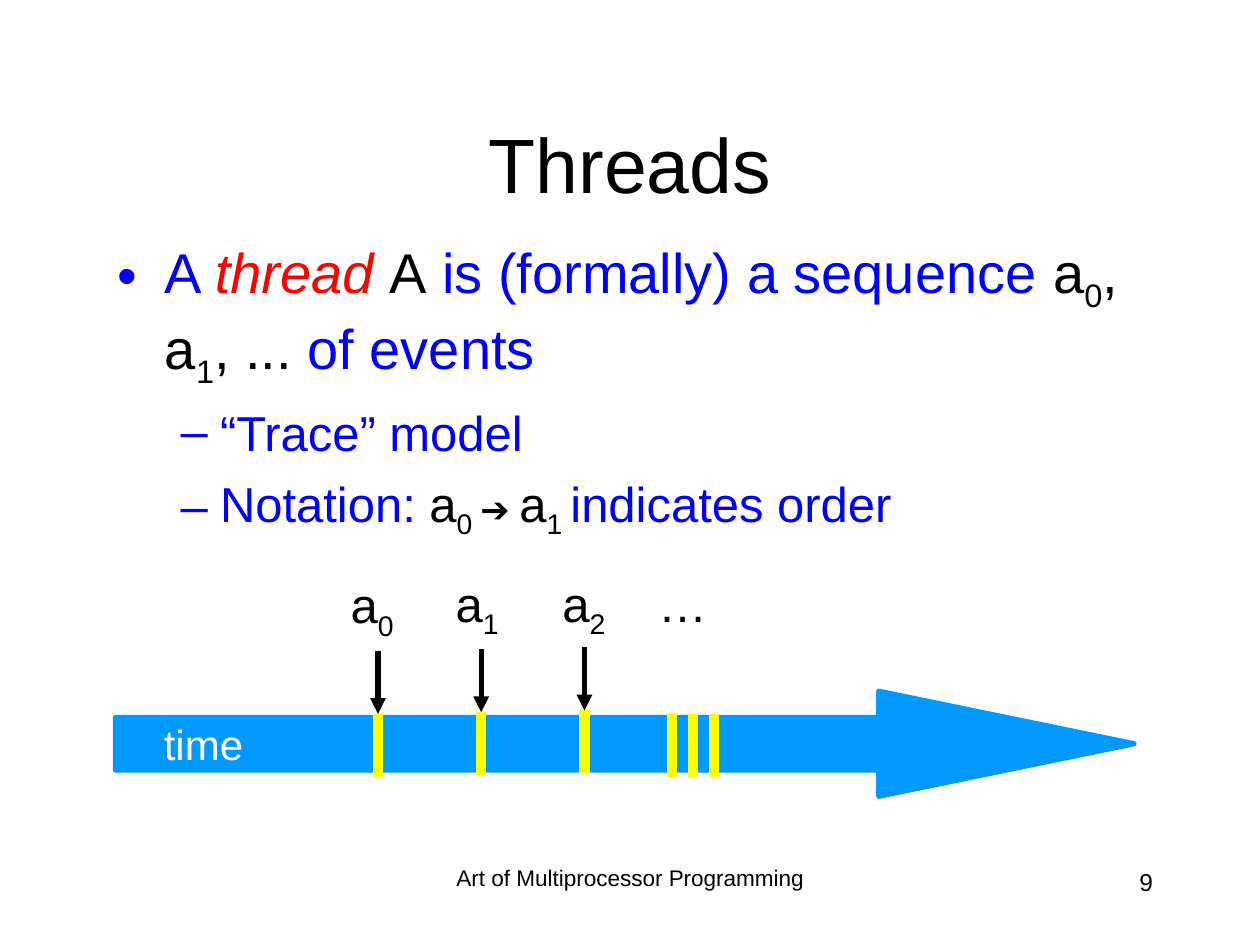
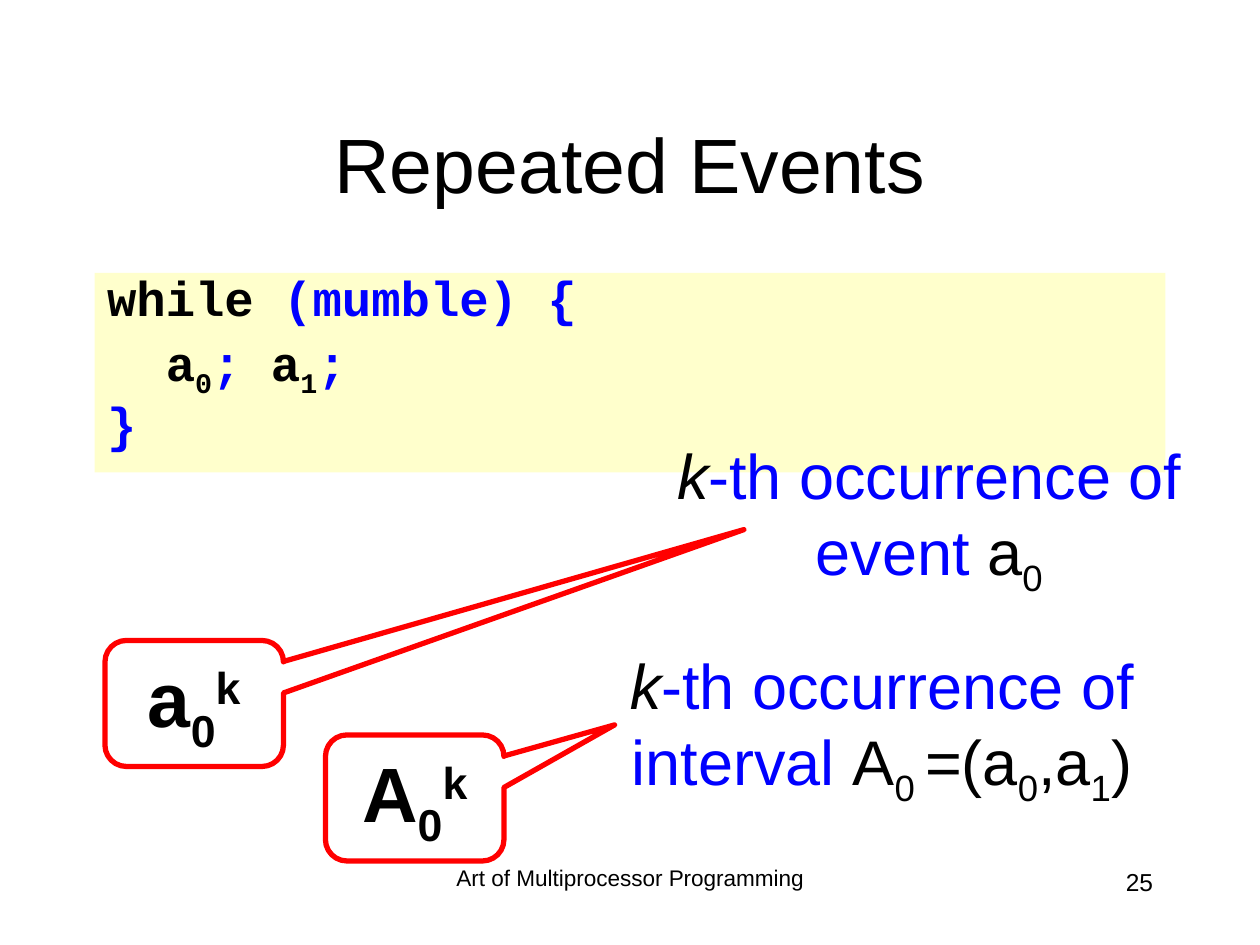
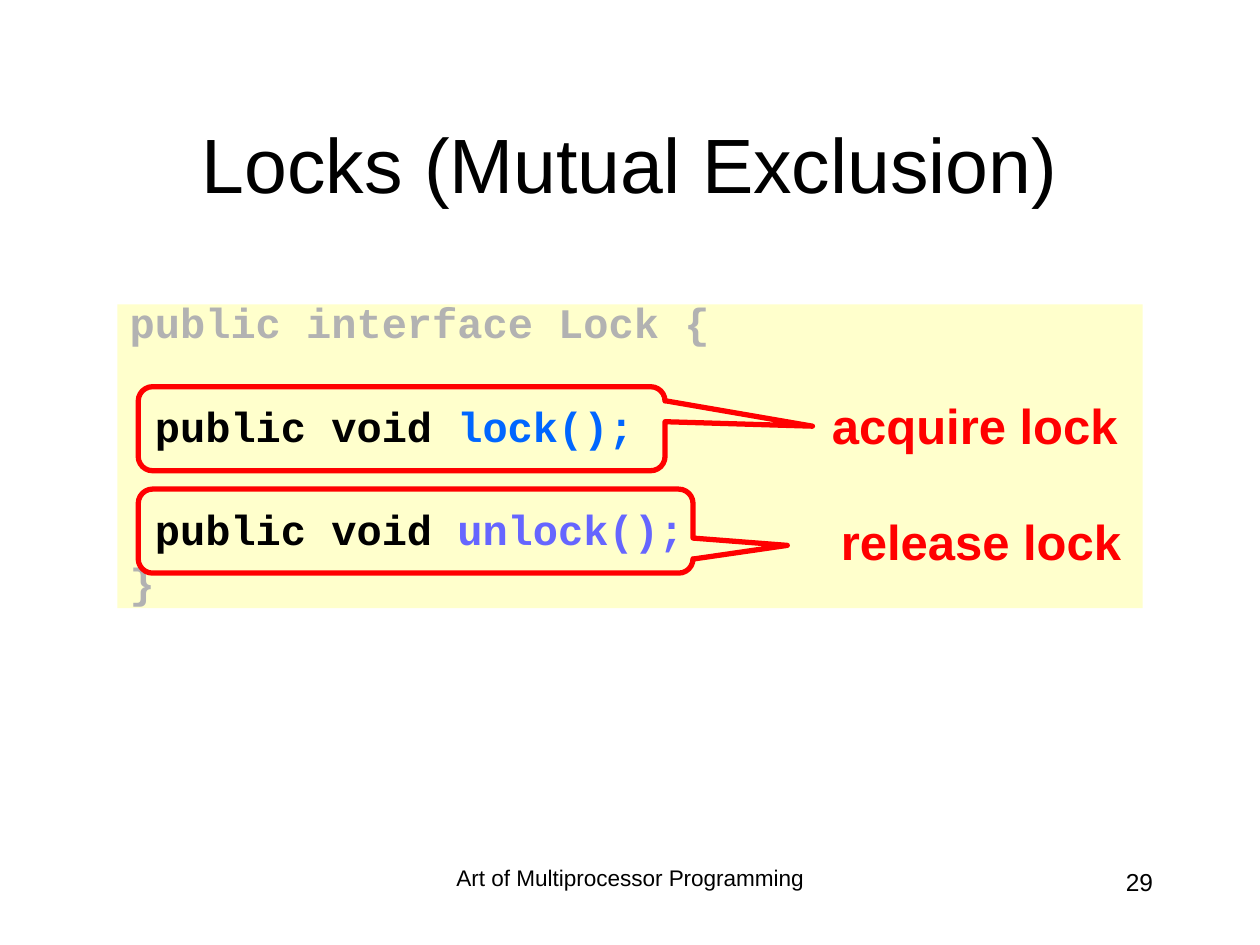
from dataclasses import dataclass, field

from lxml import etree
from pptx import Presentation
from pptx.dml.color import RGBColor
from pptx.enum import shapes, text
from pptx.oxml import ns
from pptx.util import Pt


@dataclass
class Theme:
    sans: str = "Arial"
    mono: str = "Courier New"
    colours: dict = field(default_factory=lambda: {
        "black": "000000", "white": "FFFFFF", "blue": "0000FF", "red": "FF0000",
        "yellow": "FFFF00", "sky": "0099FF", "cream": "FFFFCC", "grey": "B2B2B2",
        "azure": "0066FF", "violet": "6666FF"})
    sizes: dict = field(default_factory=lambda: {
        "title": 44, "statement": 36, "list": 32, "sublist": 28, "label": 28,
        "code": 24, "symbol": 20, "number": 14, "footer": 12.9})
    baselines: dict = field(default_factory=lambda: {"sub": "-25000", "sup": "30000"})

    def rgb(self, colour):
        return RGBColor.from_string(self.colours[colour])


THEME = Theme()
ALIGN = text.PP_ALIGN
SHAPE = shapes.MSO_SHAPE

FOOTER = "Art of Multiprocessor Programming"
FOOTER_BOX = (246, 492, 228, 36)
NUMBER_BOX = (516, 492, 150, 36)
TITLE_BOX = (54, 48, 612, 90)

THREAD_BOX = (60, 132, 612, 258)
THREAD_POINTS = [
    ("list", [("A ", "blue"), ("thread ", "red italic"), ("A", "black"),
              (" is (formally) a sequence ", "blue"), ("a", "black"), ("0", "black sub"),
              (", a", "black"), ("1", "black sub"), (", ... ", "black"),
              ("of events", "blue")]),
    ("sublist", [("“Trace” model", "blue")]),
    ("sublist", [("Notation: ", "blue"), ("a", "black"), ("0 ", "black sub"),
                 ("➔ ", "black symbol"), ("a", "black"), ("1 ", "black sub"),
                 ("indicates order", "blue")]),
]
BULLETS = {
    "list": dict(char="•", level=0, margin=27, hang=27, before=8),
    "sublist": dict(char="–", level=1, margin=58.5, hang=22.5, before=7),
}
TIME_ARROW = (66, 395, 582, 60)
TIME_BOX = (86, 407, 60, 36)
EVENTS = [("0", 193, 325), ("1", 253, 324), ("2", 314, 324)]
EVENT_START, EVENT_STEP, EVENT_TOP, EVENT_LENGTH = 216, 59, 372, 36
LATER_EVENTS = [384, 396, 408]
LATER_TOP = 408
ELLIPSIS_BOX = (369, 324, 42, 41)

LOOP_BOX = (54, 156, 612, 114)
LOOP_CODE = [
    [("while", "black bold"), (" (mumble) {", "blue bold")],
    [("  a", "black bold"), ("0", "black bold sub"), ("; ", "blue bold"),
     ("a", "black bold"), ("1", "black bold sub"), (";", "blue bold")],
    [("}", "blue bold")],
]
OCCURRENCES = [
    ("a", (60, 366, 102, 72), (3.08, -1.38), (366, 246, 330, 100),
     [("k", "black italic"), ("-th occurrence of event ", "blue"), ("a", "black"),
      ("0", "black sub")]),
    ("A", (186, 420, 102, 72), (1.12, -0.58), (324, 366, 360, 100),
     [("k", "black italic"), ("-th occurrence of interval ", "blue"), ("A", "black"),
      ("0 ", "black sub"), ("=(a", "black"), ("0", "black sub"), (",a", "black"),
      ("1", "black sub"), (")", "black")]),
]

LOCK_BOX = (67, 174, 586, 173.5)
LOCK_CODE = [
    (0, [("public interface Lock {", "grey bold")]),
    (39, [(" public void ", "black bold"), ("lock();", "azure bold")]),
    (39, [(" public void ", "black bold"), ("unlock();", "violet bold")]),
    (10, [("}", "grey bold")]),
]
LOCK_NOTES = [
    ("release lock", (79, 279.5, 317, 48), (0.67, 0.17), (467, 289, 187, 41)),
    ("acquire lock", (79, 221, 301, 48), (0.78, -0.03), (461, 222.5, 192, 41)),
]


def points(box):
    return [Pt(length) for length in box]


def place(part, box):
    for name, length in zip(("left", "top", "width", "height"), points(box)):
        setattr(part, name, length)


def write(paragraph, runs, size, face=THEME.sans, **layout):
    for name, value in layout.items():
        setattr(paragraph, name, value)
    for words, style in runs:
        colour, *flags = style.split()
        run = paragraph.add_run()
        run.text = words
        points_high = THEME.sizes["symbol" if "symbol" in flags else size]
        look = dict(name=face, size=Pt(points_high),
                    bold="bold" in flags, italic="italic" in flags)
        for name, value in look.items():
            setattr(run.font, name, value)
        run.font.color.rgb = THEME.rgb(colour)
        for flag in flags:
            if flag in THEME.baselines:
                run.font._element.set("baseline", THEME.baselines[flag])


def next_paragraph(frame, index):
    return frame.add_paragraph() if index else frame.paragraphs[0]


def add_text(slide, box, runs, size, wrap=True, **layout):
    frame = slide.shapes.add_textbox(*points(box)).text_frame
    frame.word_wrap = wrap
    write(frame.paragraphs[0], runs, size, **layout)


def add_filled(slide, preset, box, fill=None, line=None):
    figure = slide.shapes.add_shape(preset, *points(box))
    figure.shadow.inherit = False
    if fill:
        figure.fill.solid()
        figure.fill.fore_color.rgb = THEME.rgb(fill)
    else:
        figure.fill.background()
    if line:
        figure.line.color.rgb = THEME.rgb(line)
        figure.line.width = Pt(3)
    else:
        figure.line.fill.background()
    return figure


def add_callout(slide, box, tip):
    callout = add_filled(slide, SHAPE.ROUNDED_RECTANGULAR_CALLOUT, box, line="red")
    for index, value in enumerate((*tip, 0.17)):
        callout.adjustments[index] = value
    return callout


def add_stroke(slide, x, top, colour, width, arrow=False):
    stroke = slide.shapes.add_connector(
        shapes.MSO_CONNECTOR.STRAIGHT, *points((x, top, x, top + EVENT_LENGTH)))
    stroke.line.color.rgb = THEME.rgb(colour)
    stroke.line.width = Pt(width)
    if arrow:
        etree.SubElement(stroke.line._get_or_add_ln(), ns.qn("a:tailEnd"), type="triangle")
    etree.SubElement(stroke._element.spPr, ns.qn("a:effectLst"))


def set_bullet(paragraph, char=None, level=0, margin=0, hang=0, before=0):
    paragraph.level = level
    properties = paragraph._p.get_or_add_pPr()
    properties.set("marL", str(Pt(margin)))
    properties.set("indent", str(-Pt(hang)))
    if char:
        tint = etree.SubElement(properties, ns.qn("a:buClr"))
        etree.SubElement(tint, ns.qn("a:srgbClr"), val=THEME.colours["blue"])
        etree.SubElement(properties, ns.qn("a:buChar"), char=char)
    else:
        etree.SubElement(properties, ns.qn("a:buNone"))
    paragraph.space_before = Pt(before)


def body_frame(slide, box):
    body = slide.placeholders[1]
    place(body, box)
    body.text_frame.auto_size = text.MSO_AUTO_SIZE.NONE
    return body


def new_slide(deck, layout, title, number):
    slide = deck.slides.add_slide(deck.slide_layouts[layout])
    heading = slide.shapes.title
    place(heading, TITLE_BOX)
    heading.text_frame.auto_size = text.MSO_AUTO_SIZE.NONE
    heading.text_frame.vertical_anchor = text.MSO_ANCHOR.MIDDLE
    write(heading.text_frame.paragraphs[0], [(title, "black")], "title",
          alignment=ALIGN.CENTER)
    add_text(slide, FOOTER_BOX, [(FOOTER, "black")], "footer",
             alignment=ALIGN.CENTER, line_spacing=0.9)
    add_text(slide, NUMBER_BOX, [(number, "black")], "number", alignment=ALIGN.RIGHT)
    return slide


def threads(deck):
    slide = new_slide(deck, 1, "Threads", "9")
    frame = body_frame(slide, THREAD_BOX).text_frame
    for index, (rank, runs) in enumerate(THREAD_POINTS):
        point = next_paragraph(frame, index)
        bullet = BULLETS[rank]
        set_bullet(point, **(bullet if index else {**bullet, "before": 0}))
        write(point, runs, rank)

    timeline = add_filled(slide, SHAPE.RIGHT_ARROW, TIME_ARROW, "sky", "sky")
    timeline.adjustments[0] = 0.5
    timeline.adjustments[1] = 2.43
    label = dict(wrap=False, alignment=ALIGN.RIGHT)
    add_text(slide, TIME_BOX, [("time", "white")], "code", **label)

    for index, (subscript, left, top) in enumerate(EVENTS):
        x = EVENT_START + index * EVENT_STEP
        start = EVENT_TOP - index
        add_stroke(slide, x, start, "black", 3, arrow=True)
        add_stroke(slide, x, start + EVENT_LENGTH, "yellow", 6)
        add_text(slide, (left, top, 39, 45),
                 [("a", "black"), (subscript, "black sub")], "label", **label)
    for x in LATER_EVENTS:
        add_stroke(slide, x, LATER_TOP, "yellow", 6)
    add_text(slide, ELLIPSIS_BOX, [("…", "black")], "label", **label)


def repeated_events(deck):
    slide = new_slide(deck, 1, "Repeated Events", "25")
    loop = body_frame(slide, LOOP_BOX)
    loop.fill.solid()
    loop.fill.fore_color.rgb = THEME.rgb("cream")
    for index, runs in enumerate(LOOP_CODE):
        line = next_paragraph(loop.text_frame, index)
        set_bullet(line, before=7 if index else 0)
        write(line, runs, "sublist", THEME.mono, line_spacing=0.8)

    for symbol, box, tip, meaning_box, meaning in OCCURRENCES:
        frame = add_callout(slide, box, tip).text_frame
        frame.vertical_anchor = text.MSO_ANCHOR.MIDDLE
        write(frame.paragraphs[0],
              [(symbol, "black bold"), ("0", "black bold sub"), ("k", "black bold sup")],
              "title", alignment=ALIGN.CENTER)
        add_text(slide, meaning_box, meaning, "statement", alignment=ALIGN.CENTER)


def locks(deck):
    slide = new_slide(deck, 5, "Locks (Mutual Exclusion)", "29")
    frame = add_filled(slide, SHAPE.RECTANGLE, LOCK_BOX, "cream").text_frame
    frame.vertical_anchor = text.MSO_ANCHOR.TOP
    for index, (before, runs) in enumerate(LOCK_CODE):
        write(next_paragraph(frame, index), runs, "code", THEME.mono,
              alignment=ALIGN.LEFT, line_spacing=0.7, space_before=Pt(before))

    for note, box, tip, note_box in LOCK_NOTES:
        add_callout(slide, box, tip)
        add_text(slide, note_box, [(note, "red bold")], "label", alignment=ALIGN.CENTER)


def main():
    deck = Presentation()
    deck.slide_width, deck.slide_height = Pt(720), Pt(540)
    for build in (threads, repeated_events, locks):
        build(deck)
    deck.save("out.pptx")


if __name__ == "__main__":
    main()
